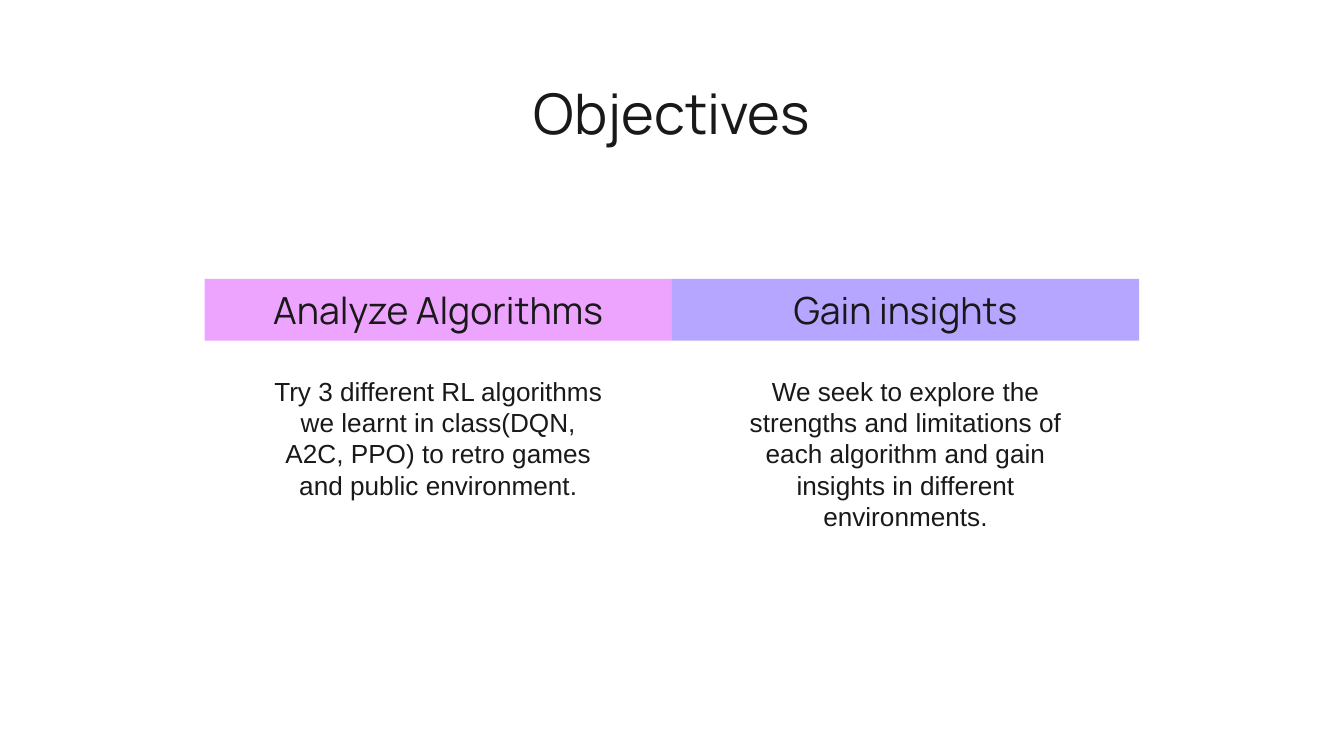
from pptx import Presentation
from pptx.dml.color import RGBColor
from pptx.enum import shapes, text
from pptx.util import Cm, Pt

INK = RGBColor(0x19, 0x19, 0x19)
WHITE = RGBColor(0xFF, 0xFF, 0xFF)
PINK = RGBColor(0xED, 0xA4, 0xFF)
LILAC = RGBColor(0xB7, 0xA6, 0xFF)

HEADING_FONT = "Manrope"
BODY_FONT = "Arial"
INSET = Cm(0.25)

OBJECTIVES = [
    ("Analyze Algorithms", PINK,
     "Try 3 different RL algorithms we learnt in class(DQN, A2C, PPO) "
     "to retro games and public environment."),
    ("Gain insights", LILAC,
     "We seek to explore the strengths and limitations of each algorithm "
     "and gain insights in different environments."),
]


def write_text(shape, content, *, size, font=HEADING_FONT,
               anchor=text.MSO_ANCHOR.MIDDLE):
    frame = shape.text_frame
    frame.word_wrap = True
    frame.vertical_anchor = anchor
    frame.margin_left = frame.margin_right = INSET
    frame.margin_top = frame.margin_bottom = INSET
    paragraph = frame.paragraphs[0]
    paragraph.alignment = text.PP_ALIGN.CENTER
    run = paragraph.add_run()
    run.text = content
    run.font.size = Pt(size)
    run.font.name = font
    run.font.color.rgb = INK


def add_title(slide, content, left, top, width, height):
    box = slide.shapes.add_textbox(left, top, width, height)
    write_text(box, content, size=30, anchor=text.MSO_ANCHOR.BOTTOM)


def add_objective(slide, heading, color, body, left, top, width, height):
    # Coloured heading band across the top of the column
    band = slide.shapes.add_shape(
        shapes.MSO_SHAPE.RECTANGLE, left, top, width, Cm(1.17))
    band.shadow.inherit = False
    band.fill.solid()
    band.fill.fore_color.rgb = color
    band.line.fill.background()
    write_text(band, heading, size=20)

    # Description, indented equally on both sides
    indent, offset = Cm(0.96), Cm(1.57)
    description = slide.shapes.add_textbox(
        left + indent, top + offset, width - 2 * indent, height - offset)
    write_text(description, body, size=14, font=BODY_FONT,
               anchor=text.MSO_ANCHOR.TOP)


def add_objectives(slide, left, top, width, height):
    column_width = width // len(OBJECTIVES)
    for index, (heading, color, body) in enumerate(OBJECTIVES):
        add_objective(slide, heading, color, body,
                      left + index * column_width, top, column_width, height)


def main():
    presentation = Presentation()
    presentation.slide_width = Cm(25.4)
    presentation.slide_height = Cm(14.29)
    slide = presentation.slides.add_slide(presentation.slide_layouts[6])
    slide.background.fill.solid()
    slide.background.fill.fore_color.rgb = WHITE

    add_title(slide, "Objectives", Cm(2), Cm(1.4), Cm(21.4), Cm(1.6))
    add_objectives(slide, Cm(3.87), Cm(5.27), Cm(17.66), Cm(6.17))
    presentation.save("out.pptx")


if __name__ == "__main__":
    main()
